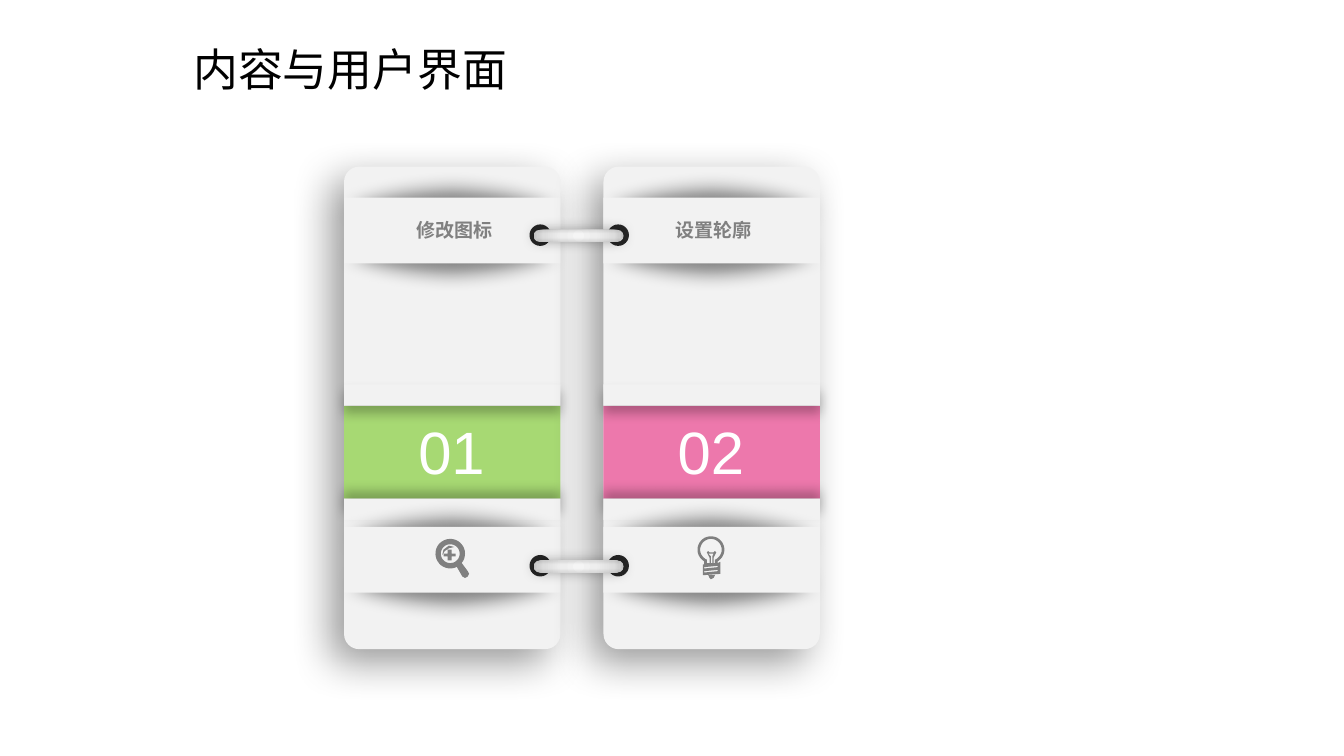
import math
from lxml import etree
from pptx import Presentation
from pptx.dml.color import RGBColor
from pptx.enum.shapes import MSO_SHAPE
from pptx.enum.text import MSO_AUTO_SIZE, PP_ALIGN
from pptx.oxml.ns import qn
from pptx.util import Inches, Pt

RECT, ROUND, OVAL = MSO_SHAPE.RECTANGLE, MSO_SHAPE.ROUNDED_RECTANGLE, MSO_SHAPE.OVAL
LEFT, CENTER = PP_ALIGN.LEFT, PP_ALIGN.CENTER

# Grid: two cards with a fixed pitch, two bands with a fixed pitch
LEFT_EDGE, CARD_W, PITCH = 2.56, 1.61, 1.93
BAND_TOP, BAND_H, BAND_STEP = 1.47, 0.49, 2.45
NUM_TOP, NUM_H, LIP_H = 3.02, 0.69, 0.16
RING_LEFT, RING_PITCH, DOT = 3.94, 0.58, 0.16
PAPER, GREY = "F2F2F2", "808080"
UNITS = 1000  # freeform units per inch

# Gradients: path kind, then (position %, colour, opacity %)
METAL = ("circle", [(0, "FFFFFF", 100), (25, "FBFBFB", 100), (37, "F8F8F8", 100),
                    (78, "E7E7E7", 100), (89, "D9D9D9", 100)])
SHADE = ("rect", [(29, "000000", 2), (100, "000000", 13)])

prs = Presentation()
prs.slide_width, prs.slide_height = Inches(10), Inches(5.625)
slide = prs.slides.add_slide(prs.slide_layouts[6])


def add(kind, x, y, w, h, fill, shadow=None, adj=None, soft=None):
    """Add a borderless shape; shadow is (opacity %, blur pt, distance pt, angle)."""
    s = slide.shapes.add_shape(kind, Inches(x), Inches(y), Inches(w), Inches(h))
    s.line.fill.background()
    s.shadow.inherit = False
    effects = s._element.spPr.find(qn("a:effectLst"))
    if adj is not None:
        s.adjustments[0] = adj
    if isinstance(fill, str):
        s.fill.solid()
        s.fill.fore_color.rgb = RGBColor.from_string(fill)
    else:
        s.fill.gradient()
        grad = s._element.spPr.find(qn("a:gradFill"))
        for child in list(grad):
            grad.remove(child)
        stops = etree.SubElement(grad, qn("a:gsLst"))
        for pos, color, opacity in fill[1]:
            gs = etree.SubElement(stops, qn("a:gs"), pos=str(pos * 1000))
            clr = etree.SubElement(gs, qn("a:srgbClr"), val=color)
            etree.SubElement(clr, qn("a:alpha"), val=str(opacity * 1000))
        shape_path = etree.SubElement(grad, qn("a:path"), path=fill[0])
        etree.SubElement(shape_path, qn("a:fillToRect"),
                         dict.fromkeys("ltrb", "50000"))
    if shadow:
        opacity, blur, dist, angle = shadow
        outer = etree.SubElement(effects, qn("a:outerShdw"), blurRad=str(Pt(blur)),
                                 dist=str(Pt(dist)), dir=str(angle * 60000),
                                 algn="ctr", rotWithShape="0")
        clr = etree.SubElement(outer, qn("a:srgbClr"), val="000000")
        etree.SubElement(clr, qn("a:alpha"), val=str(opacity * 1000))
    if soft:
        etree.SubElement(effects, qn("a:softEdge"), rad=str(Pt(soft)))


def arc(cx, cy, r, start=0, end=350, n=36):
    """Points on a circle between two angles in degrees, clockwise from the right."""
    angles = [math.radians(start + (end - start) * k / (n - 1)) for k in range(n)]
    return [(cx + r * math.cos(a), cy + r * math.sin(a)) for a in angles]


# Icons: outer outline first, then the holes and details
magnifier = [
    arc(3.35, 4.12, 0.11, 61, 399) + [(3.48, 4.25), (3.49, 4.27), (3.48, 4.29),
                                      (3.46, 4.3), (3.44, 4.29), (3.4, 4.22)],
    arc(3.35, 4.12, 0.07),
    [(3.33, 4.17), (3.36, 4.17), (3.36, 4.14), (3.39, 4.14), (3.39, 4.12), (3.36, 4.12),
     (3.36, 4.09), (3.33, 4.09), (3.33, 4.12), (3.3, 4.12), (3.3, 4.14), (3.33, 4.14)],
    [(3.29, 4.13), (3.31, 4.1), (3.34, 4.08), (3.38, 4.07), (3.34, 4.06), (3.3, 4.09)],
]
bulb = [
    arc(5.29, 4.09, 0.1, 120, 420) + [(5.34, 4.19), (5.36, 4.18), (5.36, 4.27),
                                      (5.23, 4.28), (5.23, 4.2), (5.24, 4.2)],
    [(5.27, 4.1), (5.28, 4.11), (5.31, 4.11), (5.32, 4.1), (5.33, 4.11), (5.31, 4.15),
     (5.31, 4.19), (5.32, 4.19)] + arc(5.29, 4.09, 0.08, 68, -248)
    + [(5.26, 4.19), (5.28, 4.19), (5.28, 4.15), (5.26, 4.11)],
    [(5.27, 4.12), (5.31, 4.12), (5.3, 4.14), (5.3, 4.19), (5.29, 4.19), (5.29, 4.14)],
    [(5.27, 4.28), (5.32, 4.28), (5.31, 4.3), (5.29, 4.31), (5.28, 4.3)],
    [(5.24, 4.25), (5.34, 4.24), (5.34, 4.25), (5.24, 4.26)],
    [(5.24, 4.22), (5.34, 4.21), (5.34, 4.22), (5.24, 4.23)],
]

cards = [("修改图标", "01", "A7D973", magnifier, GREY),
         ("设置轮廓", "02", "ED78AC", bulb, "7F7F7F")]

# Text: left, top, width, height, wording, size, colour, bold, alignment
texts = [(1.34, 0.26, 2.53, 0.5, "内容与用户界面", 24, "000000", False, LEFT)]

# Cards
for i, (label, number, color, icon, icon_color) in enumerate(cards):
    x = LEFT_EDGE + i * PITCH
    add(ROUND, x, 1.24, CARD_W, 3.59, PAPER, (40, 22, 10, 135), 0.07)
    add(RECT, x, NUM_TOP, CARD_W, NUM_H, color)
    add(RECT, x, NUM_TOP - LIP_H, CARD_W, LIP_H, PAPER, (25, 6, 4, 90))
    add(RECT, x, NUM_TOP + NUM_H, CARD_W, LIP_H, PAPER, (25, 6, 4, 270))

    # Raised bands with soft glows above and below
    for j in range(2):
        y = BAND_TOP + j * BAND_STEP
        for offset in (0.14, -0.2):
            add(OVAL, x - 0.21, y + offset, CARD_W + 0.42, 0.57, GREY, soft=10)
        add(RECT, x, y, CARD_W, BAND_H, PAPER)

    # Icon
    contours = [[(px * UNITS, py * UNITS) for px, py in c] for c in icon]
    fb = slide.shapes.build_freeform(*contours[0][0], scale=Inches(1) / UNITS)
    for k, contour in enumerate(contours):
        if k:
            fb.move_to(*contour[0])
        fb.add_line_segments(contour[1:], close=True)
    s = fb.convert_to_shape()
    s.shadow.inherit = False
    s.fill.solid()
    s.fill.fore_color.rgb = RGBColor.from_string(icon_color)
    s.line.fill.background()

    texts += [(x + 0.44, 1.58, 0.77, 0.27, label, 10.2, GREY, True, LEFT),
              (x + 0.45, 3.04, 0.7, 0.64, number, 32, "FFFFFF", False, CENTER)]

# Binder rings
for j in range(2):
    y = 1.67 + j * 2.46
    for k in range(2):
        add(OVAL, RING_LEFT + k * RING_PITCH, y, DOT, DOT, "262626")
    for fill, shadow in ((METAL, (30, 7, 0, 0)), (SHADE, (40, 5, 0, 0))):
        add(ROUND, RING_LEFT + 0.03, y + 0.04, 0.67, 0.09, fill, shadow, 0.5)

# Title, labels and numbers
for x, y, w, h, text, size, color, bold, align in texts:
    tf = slide.shapes.add_textbox(Inches(x), Inches(y), Inches(w), Inches(h)).text_frame
    tf.word_wrap = False
    tf.auto_size = MSO_AUTO_SIZE.SHAPE_TO_FIT_TEXT
    p = tf.paragraphs[0]
    p.text, p.alignment = text, align
    p.font.name, p.font.size, p.font.bold = "Arial", Pt(size), bold
    p.font.color.rgb = RGBColor.from_string(color)

prs.save("out.pptx")
